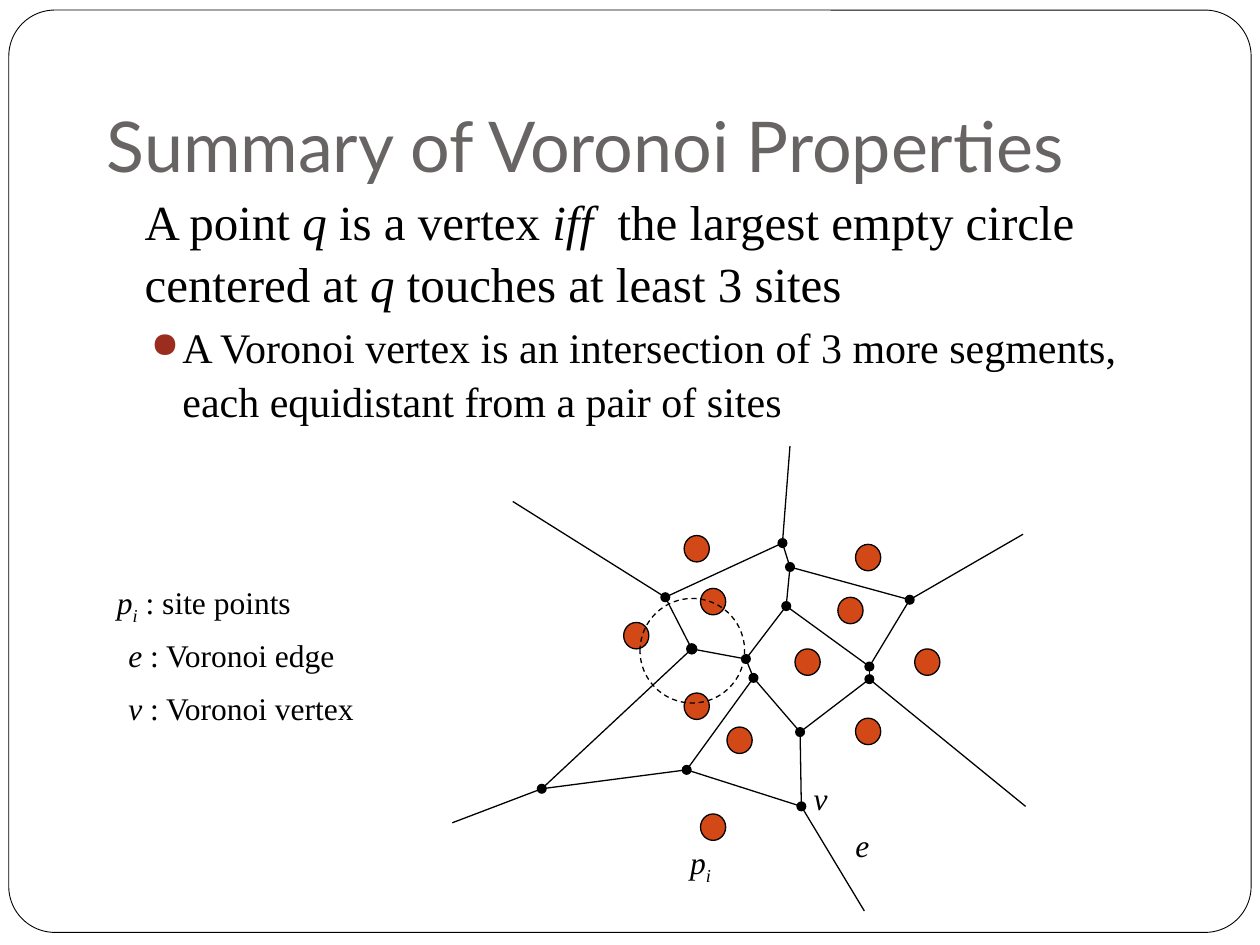
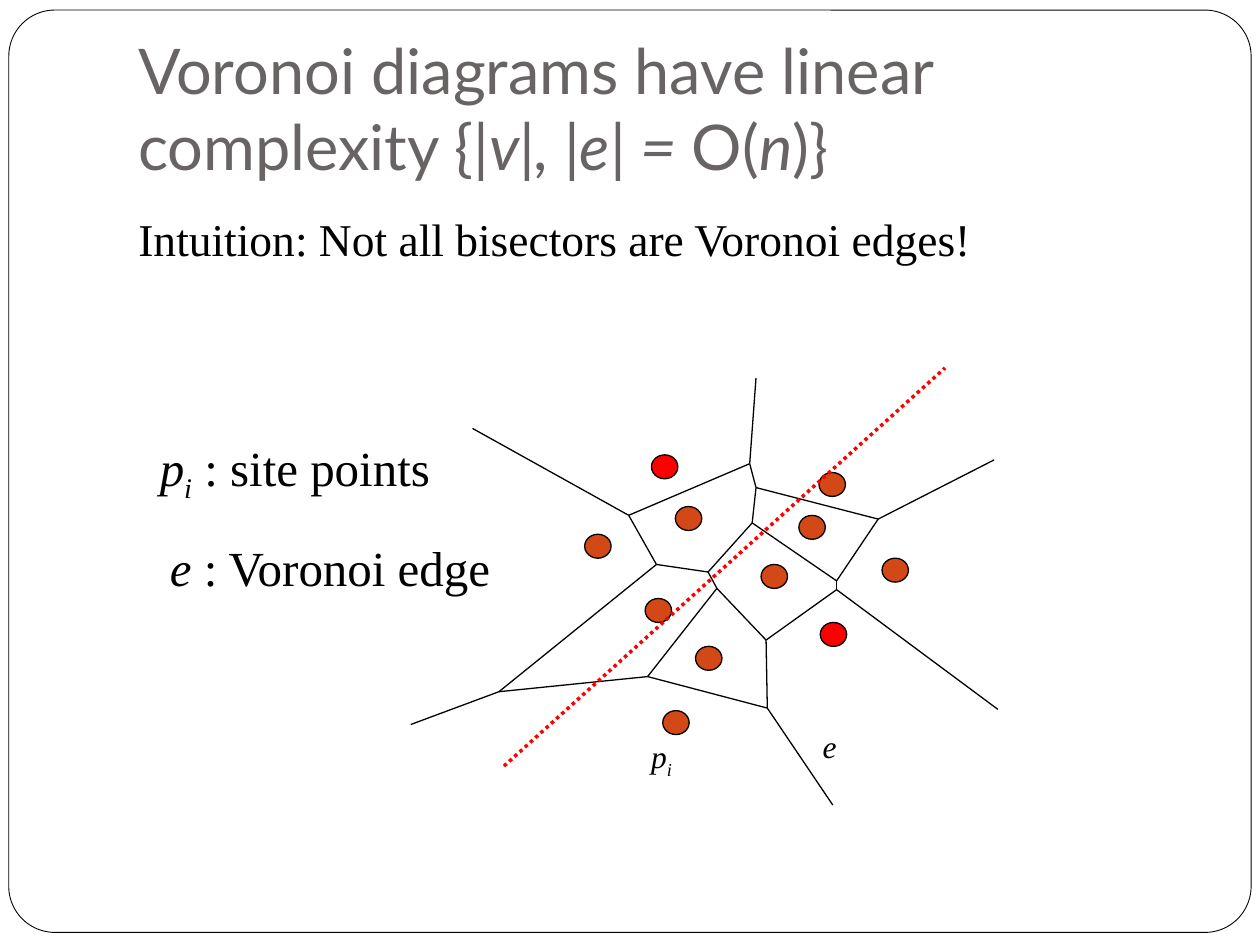
from dataclasses import dataclass
from typing import NamedTuple

from lxml.etree import SubElement
from pptx import Presentation
from pptx.dml.color import RGBColor
from pptx.enum.dml import MSO_LINE
from pptx.enum.shapes import MSO_CONNECTOR, MSO_SHAPE
from pptx.enum.text import MSO_ANCHOR
from pptx.oxml.ns import qn
from pptx.util import Emu, Pt

EMU_PER_PX = 9144
BLACK = "000000"
WHITE = "FFFFFF"
TITLE_GREY = "696464"
SITE_ORANGE = "D34817"
RED = "FF0000"
BULLET_RED = "9B2D1F"
TITLE_FONT = "Lato"
BODY_FONT = "Times New Roman"
VERTEX_SIZE = 8

EDGES = """
northwest-west west-hub hub-southwest southwest-far_southwest southwest-south_left
south_left-inner_low hub-inner_high inner_high-inner_low inner_high-middle
middle-east_high east_high-east_low inner_low-lower lower-east_low south_left-south
south-lower middle-north_low north_low-north_high west-north_high south-far_south
east_low-far_southeast north_low-northeast east_high-northeast
northeast-far_northeast north_high-far_north
""".split()


class Point(NamedTuple):
    x: int
    y: int


class Box(NamedTuple):
    left: int
    top: int
    width: int
    height: int


class Span(NamedTuple):
    text: str
    italic: bool = False
    subscript: bool = False


@dataclass(frozen=True)
class Style:
    size: int
    font: str = BODY_FONT
    color: str = BLACK


@dataclass(frozen=True)
class Para:
    spans: list[Span]
    style: Style
    margin: int = 0
    indent: int = 0
    bullet: str = ""
    before: float = 0
    spacing: float = 1.0


@dataclass(frozen=True)
class Label:
    box: Box
    spans: list[Span]
    size: int = 18


@dataclass(frozen=True)
class Diagram:
    vertices: dict[str, Point]
    ends: dict[str, Point]
    sites: list[Point]
    site_width: int
    site_height: int
    chosen: tuple[int, ...] = ()


def px(length: int) -> Emu:
    return Emu(length * EMU_PER_PX)


def rgb(color: str) -> RGBColor:
    return RGBColor.from_string(color)


def italic(text: str) -> Span:
    return Span(text, italic=True)


SITE_NAME = [italic("p"), Span("i", italic=True, subscript=True)]
SITE_KEY = [*SITE_NAME, Span(" : site points")]
EDGE_KEY = [italic("e"), Span(" : Voronoi edge")]
VERTEX_KEY = [italic("v"), Span(" : Voronoi vertex")]


def add_figure(page, kind, box: Box, fill: str = "", line: str = "", weight: float = 0.75):
    shape = page.shapes.add_shape(kind, *map(px, box))
    shape.shadow.inherit = False
    if fill:
        shape.fill.solid()
        shape.fill.fore_color.rgb = rgb(fill)
    else:
        shape.fill.background()
    if line:
        shape.line.color.rgb = rgb(line)
        shape.line.width = Pt(weight)
    else:
        shape.line.fill.background()
    return shape


def add_line(page, start: Point, end: Point, color: str = BLACK, weight: float = 0.75):
    line = page.shapes.add_connector(MSO_CONNECTOR.STRAIGHT, *map(px, (*start, *end)))
    line.line.color.rgb = rgb(color)
    line.line.width = Pt(weight)
    SubElement(line._element.spPr, qn("a:effectLst"))
    return line


def set_bullet(properties, bullet: str) -> None:
    color = SubElement(properties, qn("a:buClr"))
    SubElement(color, qn("a:srgbClr"), val=BULLET_RED)
    SubElement(properties, qn("a:buSzPct"), val="85000")
    SubElement(properties, qn("a:buChar"), char=bullet)


def add_text(page, box: Box, paras: list[Para], anchor=MSO_ANCHOR.TOP,
             top: int = 5, bottom: int = 5) -> None:
    frame = page.shapes.add_textbox(*map(px, box)).text_frame
    frame.word_wrap = True
    frame.vertical_anchor = anchor
    frame.margin_left = frame.margin_right = px(10)
    frame.margin_top, frame.margin_bottom = px(top), px(bottom)
    for index, para in enumerate(paras):
        target = frame.add_paragraph() if index else frame.paragraphs[0]
        target.line_spacing = para.spacing
        target.space_before = Pt(para.before)
        properties = target._p.get_or_add_pPr()
        properties.set("marL", str(px(para.margin)))
        properties.set("indent", str(px(para.indent)))
        if para.bullet:
            set_bullet(properties, para.bullet)
        for span in para.spans:
            run = target.add_run()
            run.text = span.text
            run.font.name = para.style.font
            run.font.size = Pt(para.style.size)
            run.font.color.rgb = rgb(para.style.color)
            run.font.italic = span.italic
            if span.subscript:
                run._r.get_or_add_rPr().set("baseline", "-25000")


def add_page(deck, title_box: Box, title: list[Span], title_size: int):
    page = deck.slides.add_slide(deck.slide_layouts[6])
    border = add_figure(page, MSO_SHAPE.ROUNDED_RECTANGLE, Box(7, 8, 986, 732), WHITE, BLACK, 0.5)
    border.adjustments[0] = 0.05
    style = Style(title_size, TITLE_FONT, TITLE_GREY)
    add_text(page, title_box, [Para(title, style)], MSO_ANCHOR.BOTTOM, bottom=10)
    return page


def add_body(page, box: Box, paras: list[Para]) -> None:
    add_text(page, box, paras, top=7)


def add_edges(page, diagram: Diagram) -> None:
    points = diagram.vertices | diagram.ends
    for edge in EDGES:
        start, end = edge.split("-")
        add_line(page, points[start], points[end])


def add_vertices(page, diagram: Diagram) -> None:
    half = VERTEX_SIZE // 2
    for x, y in diagram.vertices.values():
        add_figure(page, MSO_SHAPE.OVAL, Box(x - half, y - half, VERTEX_SIZE, VERTEX_SIZE), BLACK)


def add_sites(page, diagram: Diagram) -> None:
    for index, site in enumerate(diagram.sites):
        fill = RED if index in diagram.chosen else SITE_ORANGE
        box = Box(*site, diagram.site_width, diagram.site_height)
        add_figure(page, MSO_SHAPE.OVAL, box, fill, BLACK)


def add_labels(page, labels: list[Label]) -> None:
    for label in labels:
        add_text(page, label.box, [Para(label.spans, Style(label.size))])


def named_points(**places: tuple[int, int]) -> dict[str, Point]:
    return {name: Point(*place) for name, place in places.items()}


def site_points(*places: tuple[int, int]) -> list[Point]:
    return [Point(*place) for place in places]


PROPERTIES_DIAGRAM = Diagram(
    named_points(
        west=(528, 474), hub=(549, 515), southwest=(430, 626), south_left=(545, 611),
        inner_high=(592, 523), inner_low=(598, 538), middle=(624, 481),
        east_high=(690, 529), east_low=(690, 539), lower=(635, 581), south=(636, 640),
        north_low=(627, 450), north_high=(621, 431), northeast=(722, 476)),
    named_points(
        northwest=(407, 398), far_southwest=(359, 653), far_south=(686, 723),
        far_southeast=(814, 640), far_northeast=(812, 424), far_north=(627, 354)),
    site_points(
        (556, 646), (577, 577), (631, 515), (679, 570), (726, 515), (665, 474),
        (679, 432), (543, 550), (495, 494), (556, 467), (543, 425)),
    20, 21)

COMPLEXITY_DIAGRAM = Diagram(
    named_points(
        west=(499, 409), hub=(521, 448), southwest=(396, 549), south_left=(514, 537),
        inner_high=(562, 454), inner_low=(569, 467), middle=(597, 415),
        east_high=(664, 461), east_low=(664, 468), lower=(608, 508), south=(609, 562),
        north_low=(600, 387), north_high=(595, 368), northeast=(697, 412)),
    named_points(
        northwest=(375, 340), far_southwest=(326, 575), far_south=(661, 639),
        far_southeast=(792, 563), far_northeast=(789, 365), far_north=(600, 300)),
    site_points(
        (526, 564), (552, 513), (604, 448), (651, 494), (700, 443), (634, 409),
        (650, 375), (512, 475), (464, 424), (536, 402), (517, 361)),
    21, 19, chosen=(3, 10))


def build_properties(deck) -> None:
    page = add_page(deck, Box(75, 33, 850, 125), [Span("Summary of Voronoi Properties")], 40)
    rule = [
        Span("A point "), italic("q"), Span(" is a vertex "), italic("iff"),
        Span("  the largest empty circle centered at "), italic("q"),
        Span(" touches at least 3 sites")]
    detail = [Span("A Voronoi vertex is an intersection of 3 more segments, "
                   "each equidistant from a pair of sites")]
    add_body(page, Box(75, 142, 850, 450), [
        Para(rule, Style(28), margin=30, spacing=1.06),
        Para(detail, Style(24), margin=60, indent=-25, bullet="●", before=3.7, spacing=1.06)])
    add_edges(page, PROPERTIES_DIAGRAM)
    add_vertices(page, PROPERTIES_DIAGRAM)
    add_sites(page, PROPERTIES_DIAGRAM)
    add_labels(page, [
        Label(Box(669, 651, 35, 50), [italic("e")]),
        Label(Box(636, 613, 35, 50), [italic("v")]),
        Label(Box(538, 664, 43, 50), SITE_NAME),
        Label(Box(83, 458, 205, 50), SITE_KEY),
        Label(Box(92, 500, 243, 50), EDGE_KEY),
        Label(Box(92, 542, 285, 50), VERTEX_KEY)])
    add_figure(page, MSO_SHAPE.OVAL, Box(545, 511, 8, 8), line=BLACK)
    empty_circle = add_figure(page, MSO_SHAPE.OVAL, Box(508, 475, 83, 83), line=BLACK)
    empty_circle.line.dash_style = MSO_LINE.DASH


def build_complexity(deck) -> None:
    title = [
        Span("Voronoi diagrams have linear complexity {|"), italic("v"), Span("|"),
        italic(", "), Span("|"), italic("e"), Span("|"), italic(" = "), Span("O("),
        italic("n"), Span(")}")]
    page = add_page(deck, Box(100, 30, 850, 125), title, 36)
    intuition = [Span("Intuition: Not all bisectors are Voronoi edges!")]
    add_body(page, Box(100, 158, 850, 500), [
        Para(intuition, Style(26), margin=30, indent=-30, spacing=1.06)])
    add_edges(page, COMPLEXITY_DIAGRAM)
    add_sites(page, COMPLEXITY_DIAGRAM)
    add_labels(page, [
        Label(Box(643, 572, 35, 50), [italic("e")]),
        Label(Box(507, 580, 43, 50), SITE_NAME),
        Label(Box(117, 342, 236, 57), SITE_KEY, 28),
        Label(Box(125, 422, 280, 57), EDGE_KEY, 28)])
    bisector = add_line(page, Point(400, 608), Point(750, 292), RED, 2)
    bisector.line.dash_style = MSO_LINE.ROUND_DOT


def main() -> None:
    deck = Presentation()
    deck.slide_width, deck.slide_height = px(1000), px(750)
    build_properties(deck)
    build_complexity(deck)
    deck.save("out.pptx")


if __name__ == "__main__":
    main()
